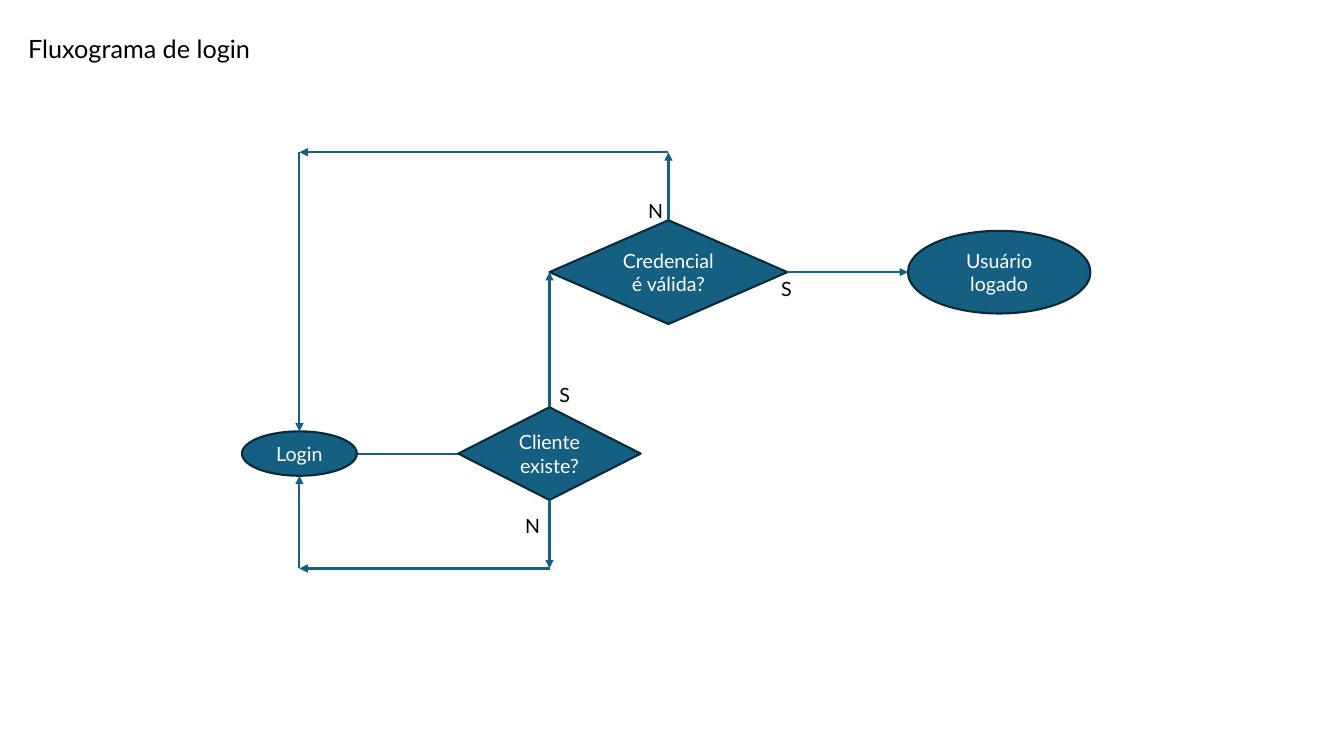
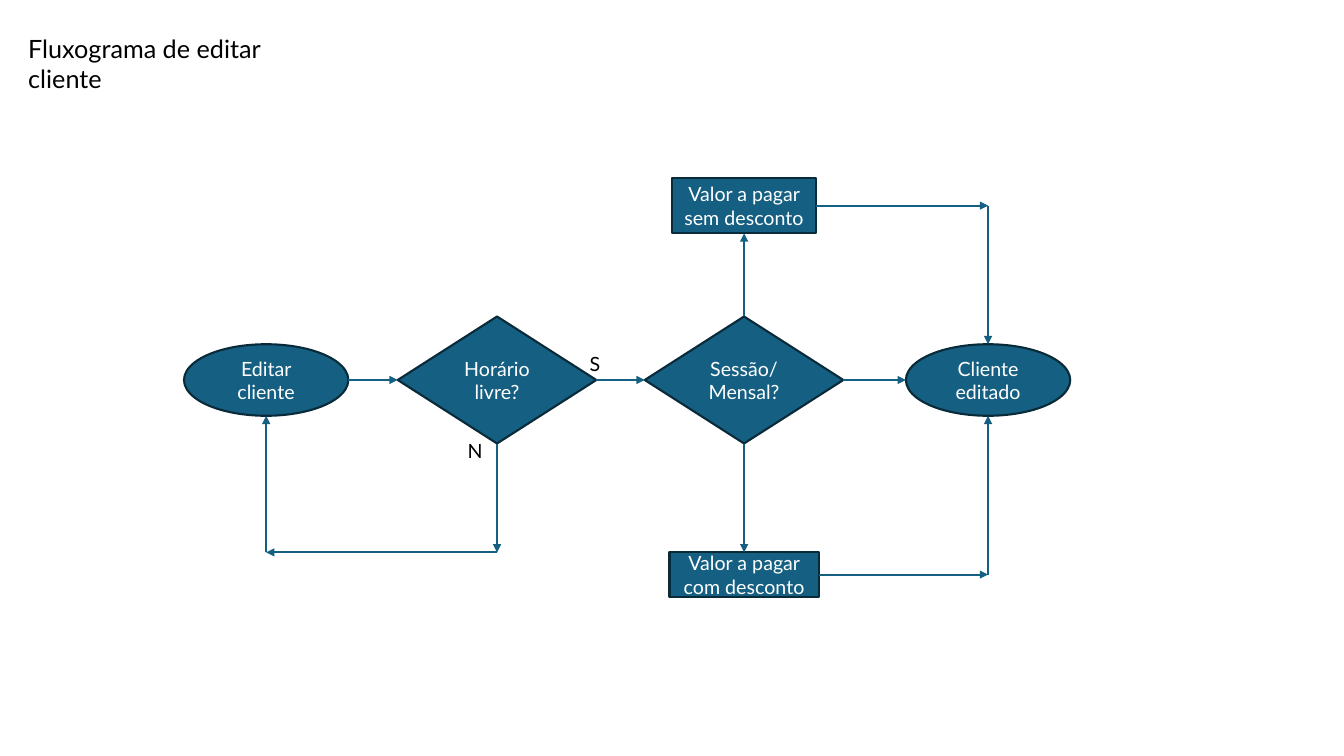
import pptx
import pptx.util
import pptx.dml.color
import pptx.enum.shapes
import pptx.enum.text
import pptx.oxml

Inches, Pt = pptx.util.Inches, pptx.util.Pt
RGB = pptx.dml.color.RGBColor
Shape = pptx.enum.shapes.MSO_SHAPE
Anchor = pptx.enum.text.MSO_ANCHOR
Align = pptx.enum.text.PP_ALIGN

HUES = {"fill": "156082", "edge": "092A39", "ink": "000000", "white": "FFFFFF"}
FONT = "Lato"
OVAL, RHOMB, RECT = Shape.OVAL, Shape.DIAMOND, Shape.RECTANGLE
TOP, LEFT, BOTTOM, RIGHT = range(4)
SIDES = {TOP: (0, -0.5), LEFT: (-0.5, 0), BOTTOM: (0, 0.5), RIGHT: (0.5, 0)}

CHARTS = [
    {
        "title": "Fluxograma de login",
        "tall": 0.4,
        "cols": (2.97, 5.45, 6.63, 9.91),
        "rows": (1.51, 2.7, 4.5, 5.64),
        "nodes": [
            ("Login", OVAL, (0, 2), (1.14, 0.44)),
            ("Cliente existe?", RHOMB, (1, 2), (1.81, 0.92)),
            ("Usuário logado", OVAL, (3, 1), (1.81, 0.82)),
            ("Credencial é válida?", RHOMB, (2, 1), (2.36, 1.03)),
        ],
        "under": [[("Login", RIGHT), (1, 2)]],
        "routes": [
            [("Cliente existe?", BOTTOM), (1, 3), (0, 3), ("Login", BOTTOM)],
            [("Cliente existe?", TOP), ("Credencial é válida?", LEFT)],
            [("Credencial é válida?", RIGHT), ("Usuário logado", LEFT)],
            [("Credencial é válida?", TOP), (2, 0), (0, 0), ("Login", TOP)],
        ],
        "marks": [("N", 5.11, 5.05), ("S", 7.65, 2.7), ("N", 6.33, 1.92), ("S", 5.45, 3.75)],
    },
    {
        "title": "Fluxograma de editar cliente",
        "tall": 0.71,
        "cols": (2.64, 4.93, 7.38, 9.8),
        "rows": (2.04, 3.77, 5.48, 5.7),
        "nodes": [
            ("Editar cliente", OVAL, (0, 1), (1.63, 0.71)),
            ("Horário livre?", RHOMB, (1, 1), (1.97, 1.26)),
            ("Sessão/Mensal?", RHOMB, (2, 1), (1.97, 1.26)),
            ("Valor a pagar sem desconto", RECT, (2, 0), (1.43, 0.55)),
            ("Valor a pagar com desconto", RECT, (2, 3), (1.48, 0.44)),
            ("Cliente editado", OVAL, (3, 1), (1.63, 0.71)),
        ],
        "under": [],
        "routes": [
            [("Editar cliente", RIGHT), ("Horário livre?", LEFT)],
            [("Horário livre?", RIGHT), ("Sessão/Mensal?", LEFT)],
            [("Horário livre?", BOTTOM), (1, 2), (0, 2), ("Editar cliente", BOTTOM)],
            [("Sessão/Mensal?", TOP), ("Valor a pagar sem desconto", BOTTOM)],
            [("Sessão/Mensal?", BOTTOM), ("Valor a pagar com desconto", TOP)],
            [("Sessão/Mensal?", RIGHT), ("Cliente editado", LEFT)],
            [("Valor a pagar sem desconto", RIGHT), (3, 0), ("Cliente editado", TOP)],
            [("Valor a pagar com desconto", RIGHT), (3, 3), ("Cliente editado", BOTTOM)],
        ],
        "marks": [("S", 5.75, 3.44), ("N", 4.54, 4.31)],
    },
]


def hue(name):
    return RGB.from_string(HUES[name])


def write(shape, text, size, ink, align, anchor):
    frame = shape.text_frame
    frame.text = text
    frame.vertical_anchor = anchor
    para = frame.paragraphs[0]
    para.alignment = align
    font = para.runs[0].font
    font.name, font.size = FONT, Pt(size)
    font.color.rgb = hue(ink)
    return frame


def add_title(slide, text, tall):
    title = slide.shapes.title
    title.left, title.top = Inches(0.18), Inches(0.28)
    title.width, title.height = Inches(2.96), Inches(tall)
    frame = write(title, text, 18, "ink", Align.LEFT, Anchor.TOP)
    frame.auto_size = pptx.enum.text.MSO_AUTO_SIZE.NONE


def add_mark(slide, text, x, y):
    box = slide.shapes.add_textbox(Inches(x), Inches(y), Inches(0.34), Inches(0.34))
    write(box, text, 14, "ink", Align.LEFT, Anchor.TOP).word_wrap = False


def add_node(slide, text, kind, mid, size):
    (x, y), (w, h) = mid, size
    node = slide.shapes.add_shape(
        kind, Inches(x - w / 2), Inches(y - h / 2), Inches(w), Inches(h))
    node.shadow.inherit = False
    node.fill.solid()
    node.fill.fore_color.rgb = hue("fill")
    node.line.color.rgb = hue("edge")
    node.line.width = Pt(1.5)
    write(node, text, 14, "white", Align.CENTER, Anchor.MIDDLE)
    return node


def add_arrow(slide, start, end):
    arrow = slide.shapes.add_connector(
        pptx.enum.shapes.MSO_CONNECTOR.STRAIGHT, *map(Inches, start + end))
    arrow.line.color.rgb = hue("fill")
    arrow.line.width = Pt(1.5)
    space = pptx.oxml.ns.nsdecls("a")
    head = pptx.oxml.parse_xml(f'<a:tailEnd {space} type="triangle"/>')
    arrow.line._get_or_add_ln().append(head)
    arrow._element.spPr.append(pptx.oxml.parse_xml(f"<a:effectLst {space}/>"))
    return arrow


def draw(slide, chart):
    specs = {text: (kind, cell, size) for text, kind, cell, size in chart["nodes"]}
    nodes = {}

    def spot(cell):
        return chart["cols"][cell[0]], chart["rows"][cell[1]]

    def place(stop):
        if stop[0] not in specs:
            return spot(stop)
        _, cell, (w, h) = specs[stop[0]]
        (x, y), (dx, dy) = spot(cell), SIDES[stop[1]]
        return x + w * dx, y + h * dy

    def join(link, stop):
        name, side = stop
        if name in nodes and (specs[name][0] != OVAL or side == TOP):
            link(nodes[name], side)

    def trace(routes):
        for route in routes:
            for start, end in zip(route, route[1:]):
                arrow = add_arrow(slide, place(start), place(end))
                join(arrow.begin_connect, start)
                join(arrow.end_connect, end)

    add_title(slide, chart["title"], chart["tall"])
    trace(chart["under"])
    for text, kind, cell, size in chart["nodes"]:
        nodes[text] = add_node(slide, text, kind, spot(cell), size)
    trace(chart["routes"])
    for mark in chart["marks"]:
        add_mark(slide, *mark)


def main():
    deck = pptx.Presentation()
    deck.slide_width, deck.slide_height = Inches(13.33), Inches(7.5)
    for chart in CHARTS:
        draw(deck.slides.add_slide(deck.slide_layouts[5]), chart)
    deck.save("out.pptx")


if __name__ == "__main__":
    main()
